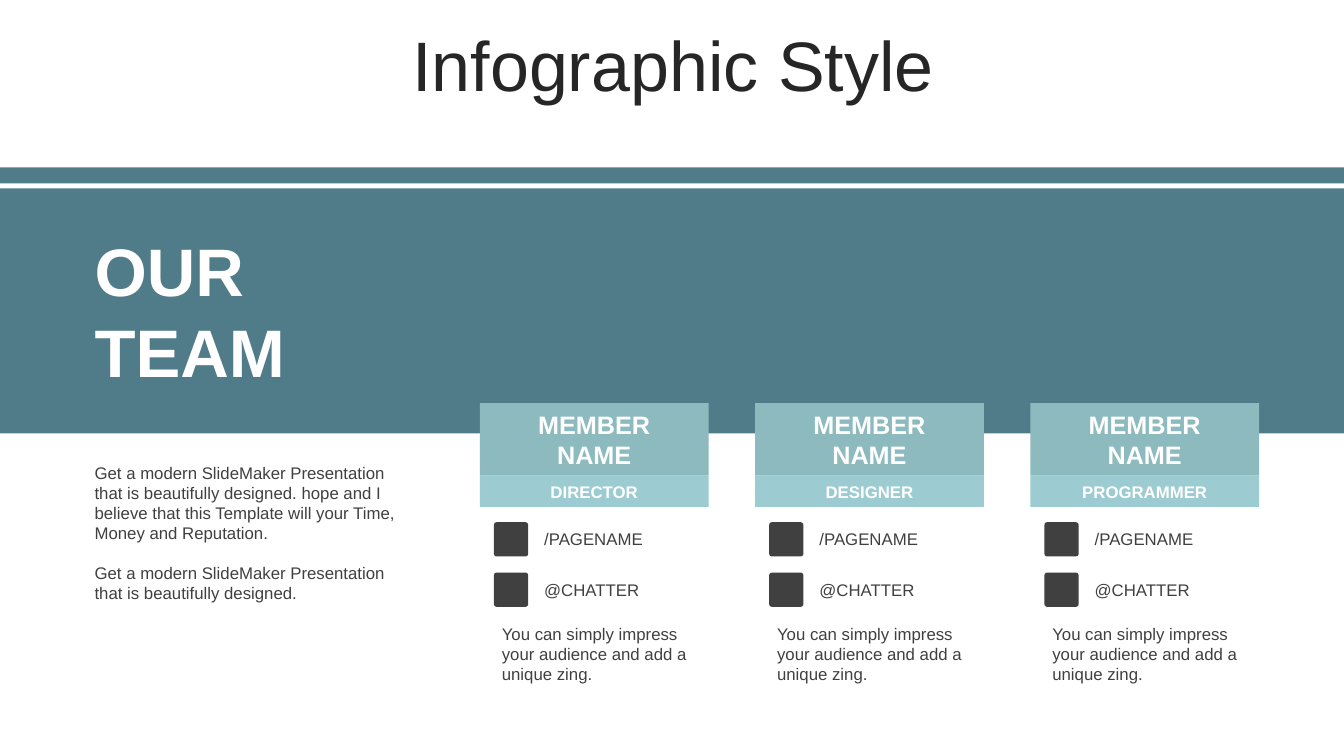
from dataclasses import dataclass

from pptx import Presentation
from pptx import util as u
from pptx.dml.color import RGBColor
from pptx.enum import shapes, text

SLIDE_WIDTH, SLIDE_HEIGHT = u.Inches(13.33), u.Inches(7.5)
COLUMN, ROW = SLIDE_WIDTH / 100, SLIDE_HEIGHT / 100

TEAL, SAGE, AQUA = "507C89", "8CBABE", "9CCCD2"
WHITE, CHARCOAL, INK = "FFFFFF", "404040", "262626"
CENTER, LEFT = text.PP_ALIGN.CENTER, text.PP_ALIGN.LEFT
MIDDLE, TOP = text.MSO_ANCHOR.MIDDLE, text.MSO_ANCHOR.TOP
RECTANGLE = shapes.MSO_SHAPE.RECTANGLE
ROUNDED = shapes.MSO_SHAPE.ROUNDED_RECTANGLE


@dataclass(frozen=True)
class Area:
    """Place on a grid of 100 columns by 100 rows."""
    column: float
    row: float
    columns: float
    rows: float

    def emu(self) -> tuple[int, int, int, int]:
        return (round(self.column * COLUMN), round(self.row * ROW),
                round(self.columns * COLUMN), round(self.rows * ROW))


@dataclass(frozen=True)
class Style:
    size: float
    color: str = CHARCOAL
    bold: bool = False
    align: text.PP_ALIGN = LEFT
    anchor: text.MSO_ANCHOR = TOP
    line_spacing: float = 1.0
    gap: float = 0


@dataclass(frozen=True)
class Member:
    name: tuple[str, ...]
    role: str
    handles: tuple[str, ...]
    bio: str


TITLE = Style(50, INK, align=CENTER, anchor=MIDDLE, line_spacing=0.8)
HEADING = Style(48, WHITE, bold=True)
INTRO = Style(12, gap=14)
NAME = Style(18, WHITE, bold=True, align=CENTER, anchor=MIDDLE)
ROLE = Style(12, WHITE, bold=True, align=CENTER, anchor=MIDDLE)
HANDLE = Style(12, anchor=MIDDLE)
BIO = Style(12)

MEMBERS = [
    Member(("MEMBER", "NAME"), role, ("/PAGENAME", "@CHATTER"),
           "You can simply impress your audience and add a unique zing.")
    for role in ("DIRECTOR", "DESIGNER", "PROGRAMMER")
]
FIRST_CARD, CARD_PITCH, CARD_COLUMNS = 35.7, 20.48, 17.03
FIRST_HANDLE, HANDLE_PITCH = 69.07, 6.67


def rgb(color: str) -> RGBColor:
    return RGBColor.from_string(color)


def write(frame, lines: tuple[str, ...], style: Style) -> None:
    frame.word_wrap = True
    frame.auto_size = text.MSO_AUTO_SIZE.NONE
    frame.vertical_anchor = style.anchor
    for index, line in enumerate(lines):
        paragraph = frame.add_paragraph() if index else frame.paragraphs[0]
        paragraph.alignment = style.align
        paragraph.line_spacing = style.line_spacing
        paragraph.space_before = u.Pt(style.gap if index else 0)
        run = paragraph.add_run()
        run.text = line
        run.font.name = "Arial"
        run.font.size = u.Pt(style.size)
        run.font.bold = style.bold
        run.font.color.rgb = rgb(style.color)


def add_block(slide, area: Area, color: str, kind=RECTANGLE):
    block = slide.shapes.add_shape(kind, *area.emu())
    block.shadow.inherit = False
    block.fill.solid()
    block.fill.fore_color.rgb = rgb(color)
    block.line.fill.background()
    return block


def add_text(slide, area: Area, lines: tuple[str, ...], style: Style) -> None:
    write(slide.shapes.add_textbox(*area.emu()).text_frame, lines, style)


def add_title(slide, area: Area, line: str) -> None:
    title = slide.shapes.title
    title.left, title.top, title.width, title.height = area.emu()
    write(title.text_frame, (line,), TITLE)


def add_member(slide, member: Member, left: float) -> None:
    name_plate = add_block(slide, Area(left, 53.33, CARD_COLUMNS, 9.6), SAGE)
    write(name_plate.text_frame, member.name, NAME)
    role_plate = add_block(slide, Area(left, 62.93, CARD_COLUMNS, 4.13), AQUA)
    write(role_plate.text_frame, (member.role,), ROLE)
    for index, handle in enumerate(member.handles):
        row = FIRST_HANDLE + index * HANDLE_PITCH
        badge = add_block(slide, Area(left + 1.05, row, 2.55, 4.53), CHARCOAL, ROUNDED)
        badge.adjustments[0] = 0.08
        add_text(slide, Area(left + 4.05, row + 0.27, 12.3, 4), (handle,), HANDLE)
    add_text(slide, Area(left + 0.9, 81.87, 15.38, 9.47), (member.bio,), BIO)


def main() -> None:
    deck = Presentation()
    deck.slide_width, deck.slide_height = SLIDE_WIDTH, SLIDE_HEIGHT
    slide = deck.slides.add_slide(deck.slide_layouts.get_by_name("Title Only"))

    add_block(slide, Area(0, 24.93, 100, 32.4), TEAL)
    add_block(slide, Area(0, 22.13, 100, 2.13), TEAL)
    add_title(slide, Area(2.63, 4.13, 94.95, 10.53), "Infographic Style")
    add_text(slide, Area(6.3, 29.73, 23.63, 23.07), ("OUR", "TEAM"), HEADING)
    add_text(slide, Area(6.3, 60.53, 24.08, 20.13), (
        "Get a modern SlideMaker Presentation that is beautifully designed. "
        "hope and I believe that this Template will your Time, Money and Reputation.",
        "Get a modern SlideMaker Presentation that is beautifully designed.",
    ), INTRO)
    for index, member in enumerate(MEMBERS):
        add_member(slide, member, FIRST_CARD + index * CARD_PITCH)

    deck.save("out.pptx")


if __name__ == "__main__":
    main()
